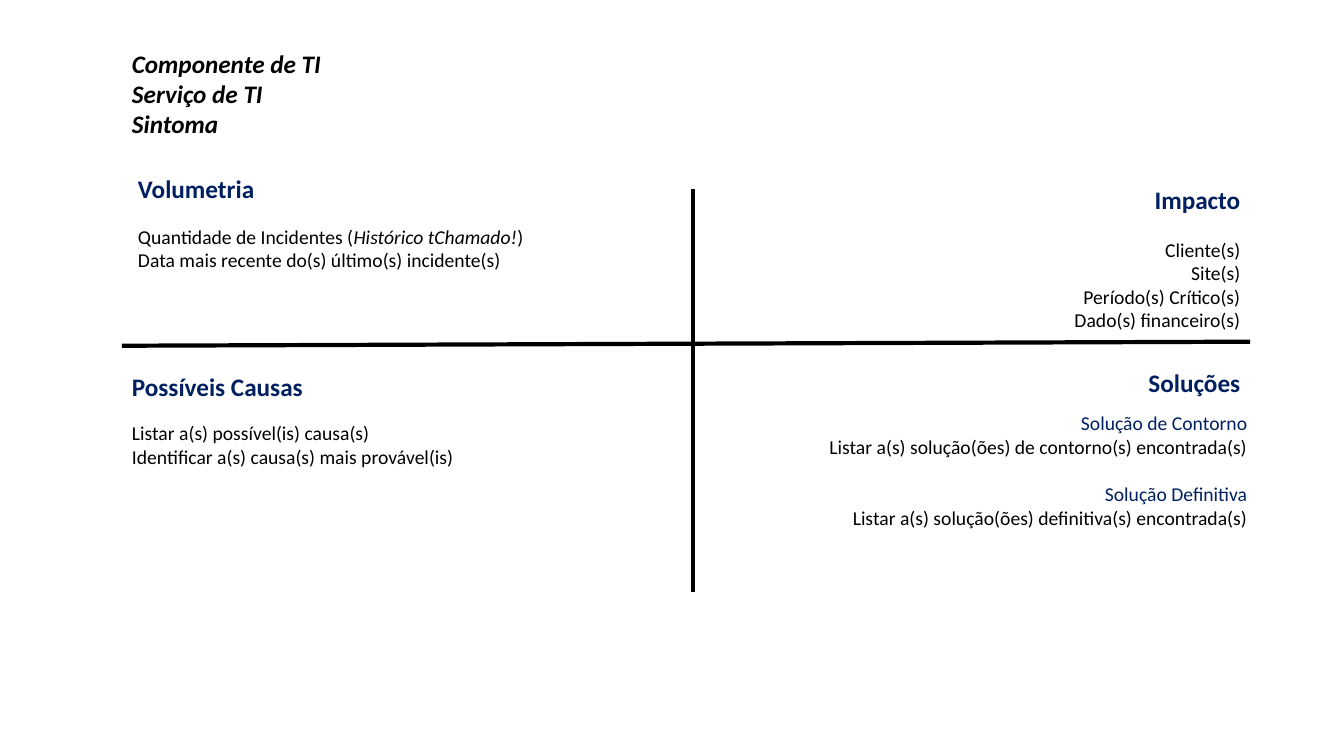
from pptx import Presentation
from pptx.dml.color import RGBColor
from pptx.enum.text import PP_ALIGN
from pptx.oxml.ns import qn
from pptx.util import Inches, Pt

BLACK = RGBColor(0x00, 0x00, 0x00)
NAVY = RGBColor(0x00, 0x20, 0x60)

TITLE = {"size": Pt(18), "bold": True, "italic": True}
HEADING = {"size": Pt(18), "bold": True, "color": NAVY}
BODY = {"size": Pt(14)}
BODY_ITALIC = {**BODY, "italic": True}
SUBHEADING = {**BODY, "color": NAVY}
BLANK_LINE = Pt(17)


def style_font(font, text_format):
    values = {"name": "Calibri", "color": BLACK, **text_format}
    font.color.rgb = values.pop("color")
    for attribute, value in values.items():
        setattr(font, attribute, value)


def add_text(slide, box, paragraphs, align=PP_ALIGN.LEFT):
    """Each paragraph is (space before, [(text, format), ...])."""
    frame = slide.shapes.add_textbox(*map(Inches, box)).text_frame
    frame.word_wrap = True
    for index, (space_before, runs) in enumerate(paragraphs):
        paragraph = frame.add_paragraph() if index else frame.paragraphs[0]
        paragraph.alignment = align
        if space_before:
            paragraph.space_before = space_before
        for text, text_format in runs:
            run = paragraph.add_run()
            run.text = text
            style_font(run.font, text_format)


def lines(text_format, *texts):
    return [(None, [(text, text_format)]) for text in texts]


def add_quadrant(slide, box, heading, body, body_offset, align):
    left, top, width, height = box
    shift, drop = body_offset
    add_text(slide, (left, top, width, 0.4), lines(HEADING, heading), align)
    add_text(slide, (left + shift, top + drop, width, height - drop), body, align)


def add_axes(slide, box):
    left, top, width, height = box
    center = left + 5.66
    ends = [
        (center, top, center, top + height),
        (left + width, top + 1.51, left, top + 1.55),
    ]
    for end in ends:
        axis = slide.shapes.add_connector(1, *map(Inches, end))
        axis.line.color.rgb = BLACK
        axis.line.width = Pt(3)
        properties = axis._element.spPr
        properties.append(properties.makeelement(qn("a:effectLst"), {}))


def add_problem_slide(presentation):
    slide = presentation.slides.add_slide(presentation.slide_layouts[6])

    # Dividing cross
    add_axes(slide, (1.21, 1.88, 11.19, 3.99))

    # Problem identification
    add_text(slide, (1.21, 0.43, 9.58, 1.01),
             lines(TITLE, "Componente de TI", "Serviço de TI", "Sintoma"))

    # Four quadrants
    volume = [
        (None, [("Quantidade de Incidentes (", BODY),
                ("Histórico tChamado!", BODY_ITALIC), (")", BODY)]),
        *lines(BODY, "Data mais recente do(s) último(s) incidente(s)"),
    ]
    impact = lines(BODY, "Cliente(s)", "Site(s)", "Período(s) Crítico(s)",
                   "Dado(s) financeiro(s)")
    causes = lines(BODY, "Listar a(s) possível(is) causa(s)",
                   "Identificar a(s) causa(s) mais provável(is)")
    solutions = [
        *lines(SUBHEADING, "Solução de Contorno"),
        *lines(BODY, "Listar a(s) solução(ões) de contorno(s) encontrada(s)"),
        (BLANK_LINE, [("Solução Definitiva", SUBHEADING)]),
        *lines(BODY, "Listar a(s) solução(ões) definitiva(s) encontrada(s)"),
    ]
    left, right = PP_ALIGN.LEFT, PP_ALIGN.RIGHT
    quadrants = [
        ((1.27, 1.67, 4.69, 1.79), "Volumetria", volume, (0, 0.51), left),
        ((7.71, 1.78, 4.69, 1.81), "Impacto", impact, (0, 0.53), right),
        ((1.21, 3.63, 4.69, 1.54), "Possíveis Causas", causes, (0, 0.5), left),
        ((7.71, 3.59, 4.69, 2.43), "Soluções", solutions, (0.07, 0.44), right),
    ]
    for quadrant in quadrants:
        add_quadrant(slide, *quadrant)


def main():
    presentation = Presentation()
    presentation.slide_width = Inches(13.33)
    presentation.slide_height = Inches(7.5)
    add_problem_slide(presentation)
    presentation.save("out.pptx")


if __name__ == "__main__":
    main()
